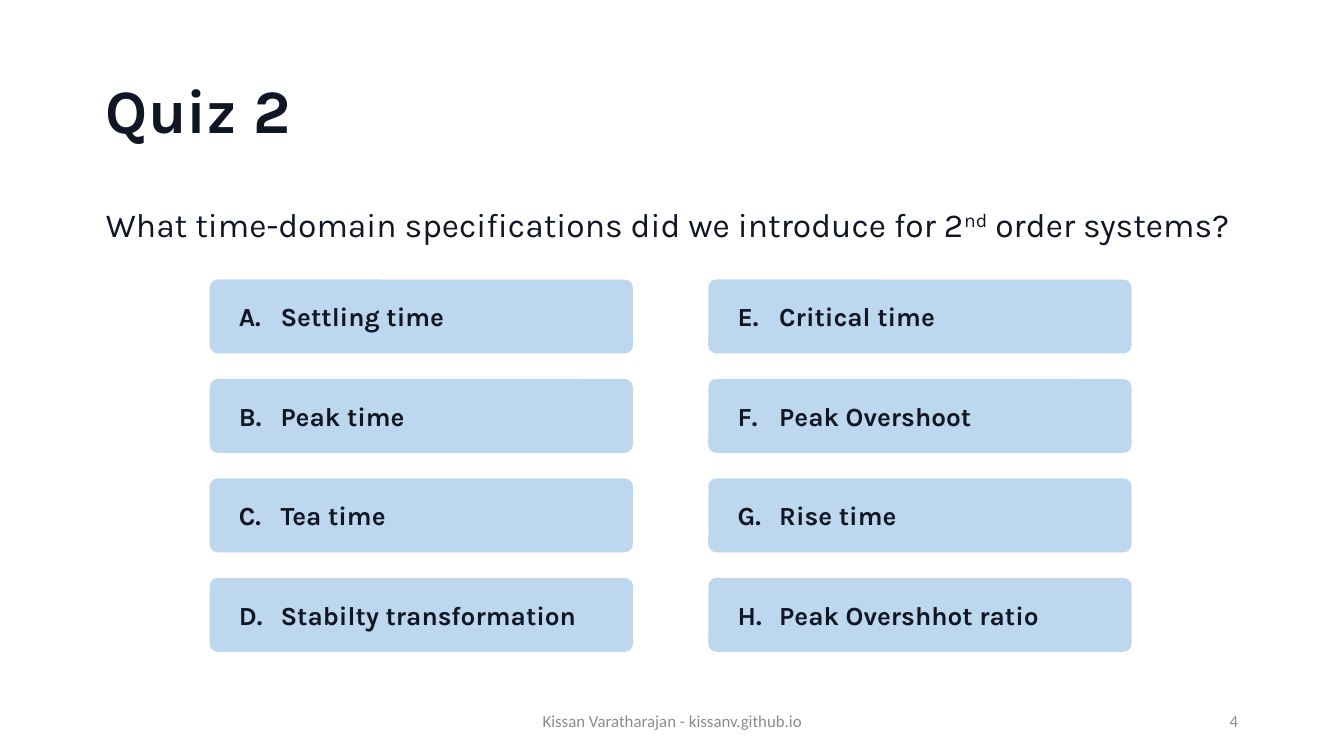
import pptx
import pptx.util
import pptx.dml.color
import pptx.enum.shapes
import pptx.enum.text

Inches = pptx.util.Inches
ALIGN = pptx.enum.text.PP_ALIGN
NAVY, BLUE, GREY = "101623", "BDD7EE", "8C8C8D"

TITLE = dict(name="Karla", size=33, bold=True, color=NAVY)
QUESTION = dict(name="Karla", size=18, color=NAVY)
ANSWER = dict(name="Karla", size=14, bold=True, color=NAVY)
FOOTER = dict(name="Calibri", size=9, color=GREY)


def rgb(value):
    return pptx.dml.color.RGBColor.from_string(value)


def add_run(p, text, style):
    r = p.add_run()
    r.text = text
    for key, value in style.items():
        if key == "color":
            r.font.color.rgb = rgb(value)
        else:
            setattr(r.font, key, pptx.util.Pt(value) if key == "size" else value)
    return r


def frame(sp, left=0.1, middle=True):
    """Set up wrapping, insets and anchor; return the first paragraph."""
    tf = sp.text_frame
    anchor = pptx.enum.text.MSO_ANCHOR
    settings = dict(
        word_wrap=True,
        margin_left=Inches(left), margin_right=Inches(0.1),
        margin_top=Inches(0.05), margin_bottom=Inches(0.05),
        vertical_anchor=anchor.MIDDLE if middle else anchor.TOP,
    )
    for key, value in settings.items():
        setattr(tf, key, value)
    return tf.paragraphs[0]


def add_text(s, box, text, style, align=ALIGN.LEFT, spacing=1.0, middle=True):
    sp = s.shapes.add_textbox(*map(Inches, box))
    p = frame(sp, middle=middle)
    p.alignment, p.line_spacing = align, spacing
    add_run(p, text, style)
    return p


def add_question(s, box):
    p = add_text(s, box, "What time-domain specifications did we introduce for 2",
                 QUESTION, spacing=0.9, middle=False)
    # Raised ordinal ending
    r = add_run(p, "nd", QUESTION)
    r.font._element.set("baseline", "30000")
    add_run(p, " order systems?", QUESTION)


def add_answer(s, box, letter, text):
    sp = s.shapes.add_shape(pptx.enum.shapes.MSO_SHAPE.ROUNDED_RECTANGLE,
                            *map(Inches, box))
    sp.adjustments[0] = 0.11
    sp.shadow.inherit = False
    sp.fill.solid()
    sp.fill.fore_color.rgb = rgb(BLUE)
    sp.line.fill.background()
    p = frame(sp, left=0.2)
    p.alignment = ALIGN.LEFT
    # Hanging indent lines up the answers after their letters
    pPr = p._p.get_or_add_pPr()
    pPr.set("marL", str(Inches(0.31)))
    pPr.set("indent", str(-Inches(0.31)))
    add_run(p, f"{letter}.\t{text}", ANSWER)


def add_answers(s, box, answers, rows=4, w=3.15, h=0.55):
    """Fill the box column by column with evenly spaced answers."""
    left, top, width, height = box
    columns = len(answers) // rows
    dx = (width - w) / (columns - 1)
    dy = (height - h) / (rows - 1)
    for i, text in enumerate(answers):
        col, row = divmod(i, rows)
        add_answer(s, (left + col * dx, top + row * dy, w, h),
                   "ABCDEFGH"[i], text)


def add_footer(s, box):
    left, top, width, height = box
    add_text(s, (left + 2.62, top, 3.38, height),
             "Kissan Varatharajan - kissanv.github.io", FOOTER, ALIGN.CENTER)
    add_text(s, (left + width - 2.25, top, 2.25, height), "4", FOOTER, ALIGN.RIGHT)


def main():
    prs = pptx.Presentation()
    # Widescreen, 16 to 9
    prs.slide_width = Inches(10)
    prs.slide_height = prs.slide_width * 9 // 16
    s = prs.slides.add_slide(prs.slide_layouts[6])

    # Title and question
    add_text(s, (0.69, 0.3, 8.62, 1.09), "Quiz 2", TITLE, spacing=0.9)
    add_question(s, (0.69, 1.5, 8.62, 3.57))

    # Footer and page number
    add_footer(s, (0.69, 5.21, 8.62, 0.3))

    # Answer grid
    add_answers(s, (1.56, 2.08, 6.86, 2.77), [
        "Settling time", "Peak time", "Tea time", "Stabilty transformation",
        "Critical time", "Peak Overshoot", "Rise time", "Peak Overshhot ratio",
    ])
    prs.save("out.pptx")


if __name__ == "__main__":
    main()
